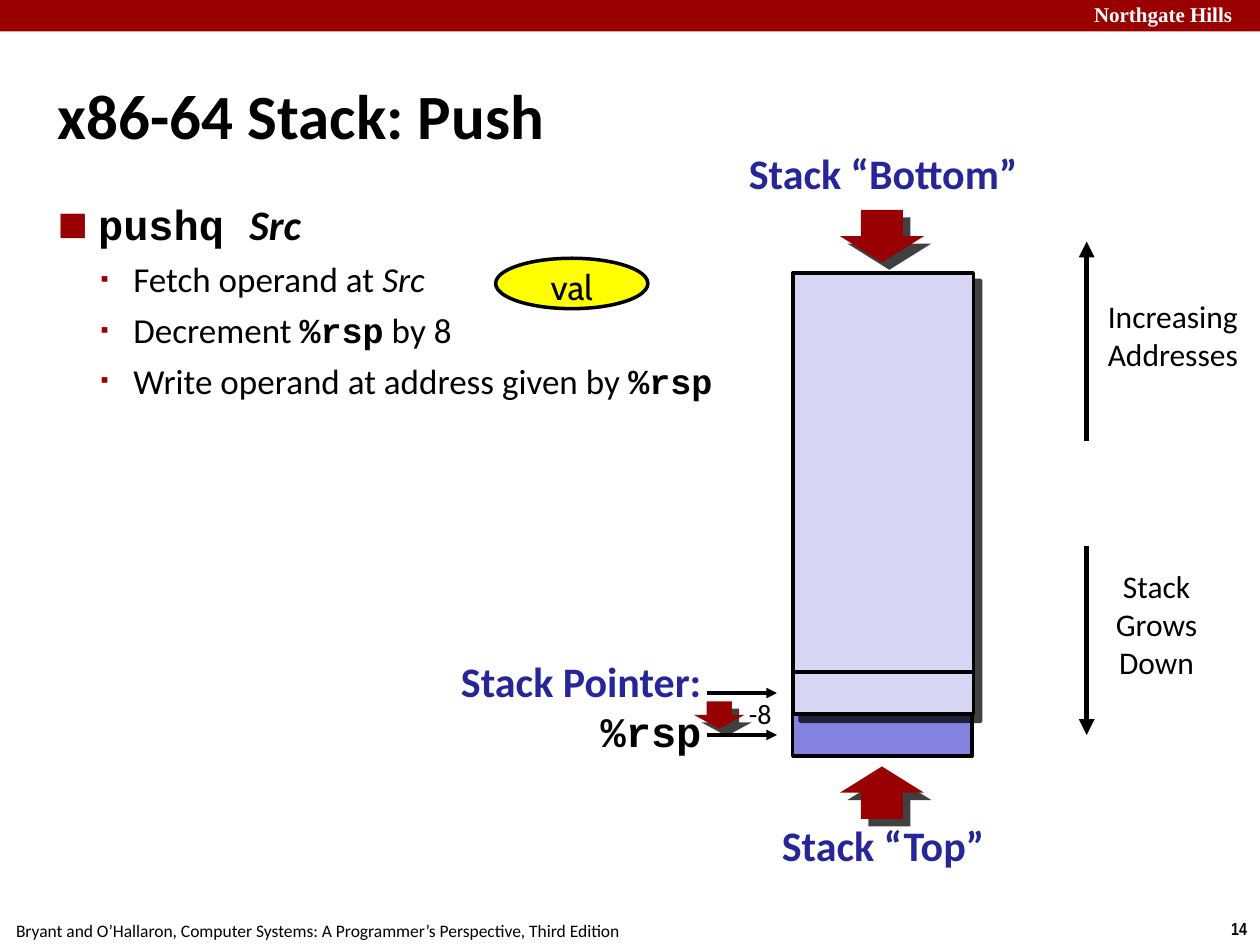
from dataclasses import dataclass

from lxml import etree
from pptx import Presentation
from pptx import util as u
from pptx.dml.color import RGBColor
from pptx.enum import shapes, text
from pptx.oxml import ns

COLS, ROWS = 120, 90  # grid of the whole slide
LEFT, MID, RIGHT = text.PP_ALIGN.LEFT, text.PP_ALIGN.CENTER, text.PP_ALIGN.RIGHT
BOX = shapes.MSO_SHAPE.RECTANGLE
OVAL = shapes.MSO_SHAPE.OVAL


@dataclass(frozen=True)
class Theme:
    red: str = "990000"
    arrow: str = "980002"
    blue: str = "262699"
    pale: str = "D6D6F4"
    deep: str = "8484E0"
    yellow: str = "FFFF00"
    white: str = "FFFFFF"
    black: str = "000000"
    sans: str = "Calibri"
    code: str = "Courier New"
    serif: str = "Times New Roman"
    round: str = "Cabin"
    slim: str = "Arial Narrow"
    mark: str = "Arial"
    title: int = 36
    head: int = 24
    body: int = 20
    side: int = 18
    step: int = 16
    brand: int = 12
    foot: int = 10


T = Theme()


def grid(*vals):
    """Grid steps as lengths; a step is a twelfth of an inch."""
    return [u.Inches(10 / COLS * v) for v in vals]


def node(up, tag, **attrs):
    return etree.SubElement(up, ns.qn(tag), attrs)


def run(par, words, size, font=T.sans, color=T.black, bold=False, ital=False):
    r = par.add_run()
    r.text = words
    f = r.font
    f.size, f.name, f.bold, f.italic = u.Pt(size), font, bold, ital
    f.color.rgb = RGBColor.from_string(color)


def write(frame, pars, align=LEFT, pad=(0, 0), anchor=text.MSO_ANCHOR.TOP):
    """Fill a text frame; each paragraph is a list of (words, style) runs."""
    frame.word_wrap = True
    frame.vertical_anchor = anchor
    frame.margin_left, frame.margin_top = grid(*pad)
    frame.margin_right, frame.margin_bottom = grid(*pad)
    for n, runs in enumerate(pars):
        par = frame.add_paragraph() if n else frame.paragraphs[0]
        par.alignment = align
        for words, style in runs:
            run(par, words, **style)


def label(slide, at, pars, **how):
    box = slide.shapes.add_textbox(*grid(*at))
    write(box.text_frame, pars, **how)
    return box


def shade(shape):
    """Give a shape a hard shadow to the lower right."""
    fx = shape._element.spPr.find(ns.qn("a:effectLst"))
    cast = node(fx, "a:outerShdw", dist=str(u.Pt(6)), dir="2700000",
                algn="ctr", rotWithShape="0")
    tint = node(cast, "a:srgbClr", val=T.black)
    node(tint, "a:alpha", val="75000")


def paint(shape, fill, edge=0, shadow=False):
    shape.fill.solid()
    shape.fill.fore_color.rgb = RGBColor.from_string(fill)
    if edge:
        shape.line.color.rgb = RGBColor.from_string(T.black)
        shape.line.width = u.Pt(edge)
    else:
        shape.line.fill.background()
    shape.shadow.inherit = False
    if shadow:
        shade(shape)


def block(slide, at, fill, kind=BOX, **look):
    shape = slide.shapes.add_shape(kind, *grid(*at))
    paint(shape, fill, **look)
    return shape


def fat(slide, mid, tail, tip, half):
    """Block arrow whose stem is half as wide as its head."""
    neck, stem = (tail + tip) / 2, half / 2
    pts = [(mid - half, neck), (mid - stem, neck), (mid - stem, tail),
           (mid + stem, tail), (mid + stem, neck), (mid + half, neck), (mid, tip)]
    pts = [grid(*p) for p in pts]
    pen = slide.shapes.build_freeform(*pts[0])
    pen.add_line_segments(pts[1:], close=True)
    paint(pen.convert_to_shape(), T.arrow, shadow=True)


def rule(slide, start, end, width=2, head=True):
    line = slide.shapes.add_connector(
        shapes.MSO_CONNECTOR.STRAIGHT, *grid(*start, *end))
    line.line.color.rgb = RGBColor.from_string(T.black)
    line.line.width = u.Pt(width)
    if head:
        node(line.line._get_or_add_ln(), "a:tailEnd", type="triangle")
    node(line._element.spPr, "a:effectLst")


def indent(par, left, hang):
    pr = par._p.get_or_add_pPr()
    pr.set("marL", str(u.Inches(left)))
    pr.set("indent", str(u.Inches(-hang)))
    return pr


def bullet(par, sign, share, left, hang):
    """Hanging bullet; share is its size in percent of the text."""
    pr = indent(par, left, hang)
    node(node(pr, "a:buClr"), "a:srgbClr", val=T.red)
    node(pr, "a:buSzPct", val=str(share * 1000))
    node(pr, "a:buFont", typeface=T.mark)
    node(pr, "a:buChar", char=sign)


def frame(slide):
    """Page number, source line and top band."""
    label(slide, (116, 86.8, 4, 3.2),
          [[("14", dict(size=T.foot, font=T.slim, bold=True))]],
          align=MID, pad=(0, 0.6))
    label(slide, (0, 87, 60.5, 3),
          [[("Bryant and O’Hallaron, Computer Systems: "
             "A Programmer’s Perspective, Third Edition", dict(size=T.foot))]],
          align=MID, pad=(1.2, 0.6))
    block(slide, (0, 0, COLS, 3), T.red)
    label(slide, (103.7, 0, 16.3, 3),
          [[("Northgate Hills", dict(size=T.brand, font=T.serif,
                                     color=T.white, bold=True))]],
          pad=(0.5, 0.1))


def prose(slide):
    """Title and bullet list."""
    box = label(slide, (5, 3.4, 110, 15),
                [[("x86-64 Stack: Push", dict(size=T.title, bold=True))]],
                pad=(0.5, 0.5), anchor=text.MSO_ANCHOR.MIDDLE)
    indent(box.text_frame.paragraphs[0], 0.13, 0.13)

    plain = dict(size=T.body)
    slant = dict(size=T.body, ital=True)
    code = dict(size=T.body, font=T.code, bold=True)
    box = label(slide, (5, 18.4, 110, 71.2), [
        [("pushq ", dict(size=T.head, font=T.code, bold=True)),
         ("Src", dict(size=T.head, bold=True, ital=True))],
        [("Fetch operand at ", plain), ("Src", slant)],
        [("Decrement ", plain), ("%rsp", code), (" by 8", plain)],
        [("Write operand at address given by ", plain), ("%rsp", code)],
    ], pad=(0.5, 0.5))
    first, *rest = box.text_frame.paragraphs
    bullet(first, "■", 120, 0.32, 0.32)
    for par in rest:
        par.level = 1
        par.space_before = u.Pt(5)
        bullet(par, "▪", 65, 0.6, 0.26)


def stack(slide):
    """Stack column with its pointers, directions and captions."""
    name = dict(size=T.head, color=T.blue, bold=True)
    side = dict(size=T.side)

    block(slide, (75.5, 68, 17.1, 4), T.deep, edge=2)
    rule(slide, (67.3, 70), (74, 70))
    label(slide, (70.8, 65.8, 3.2, 4.2), [[("-8", dict(size=T.step))]],
          align=MID, pad=(0.5, 0.5))
    fat(slide, 68.5, 66.8, 69.4, 2.4)
    rule(slide, (67.3, 66), (74, 66))
    block(slide, (75.5, 26, 17.2, 42), T.pale, edge=2, shadow=True)
    rule(slide, (75.5, 64), (92.7, 64), head=False)

    for at, lines, start, end in (
            ((104.8, 54, 10.7, 12), ("Stack Grows", "Down"), 52, 70),
            ((104.9, 28.3, 13.6, 8.3), ("Increasing", "Addresses"), 42, 23)):
        rule(slide, (103.5, start), (103.5, end), width=3)
        note = block(slide, at, T.white)
        write(note.text_frame, [[(words, side)] for words in lines], align=MID)

    for at, words, tail, tip in (
            ((70.7, 14, 26.8, 5.9), "Stack “Bottom”", 20, 25),
            ((73.9, 78, 20.4, 5.9), "Stack “Top”", 78, 73)):
        label(slide, at, [[(words, name)]], align=MID)
        fat(slide, 84, tail, tip, 4)

    label(slide, (36.8, 62.4, 30, 9.8),
          [[("Stack Pointer: ", name),
            ("%rsp", dict(size=T.head, font=T.code, bold=True))]], align=RIGHT)
    val = block(slide, (47.2, 24.6, 14.5, 4.8), T.yellow, kind=OVAL, edge=2)
    write(val.text_frame, [[("val", dict(size=T.body, font=T.round))]],
          align=MID, pad=(1.2, 0))


def main():
    deck = Presentation()
    deck.slide_width, deck.slide_height = grid(COLS, ROWS)
    slide = deck.slides.add_slide(deck.slide_layouts[6])
    frame(slide)
    prose(slide)
    stack(slide)
    deck.save("out.pptx")


if __name__ == "__main__":
    main()
